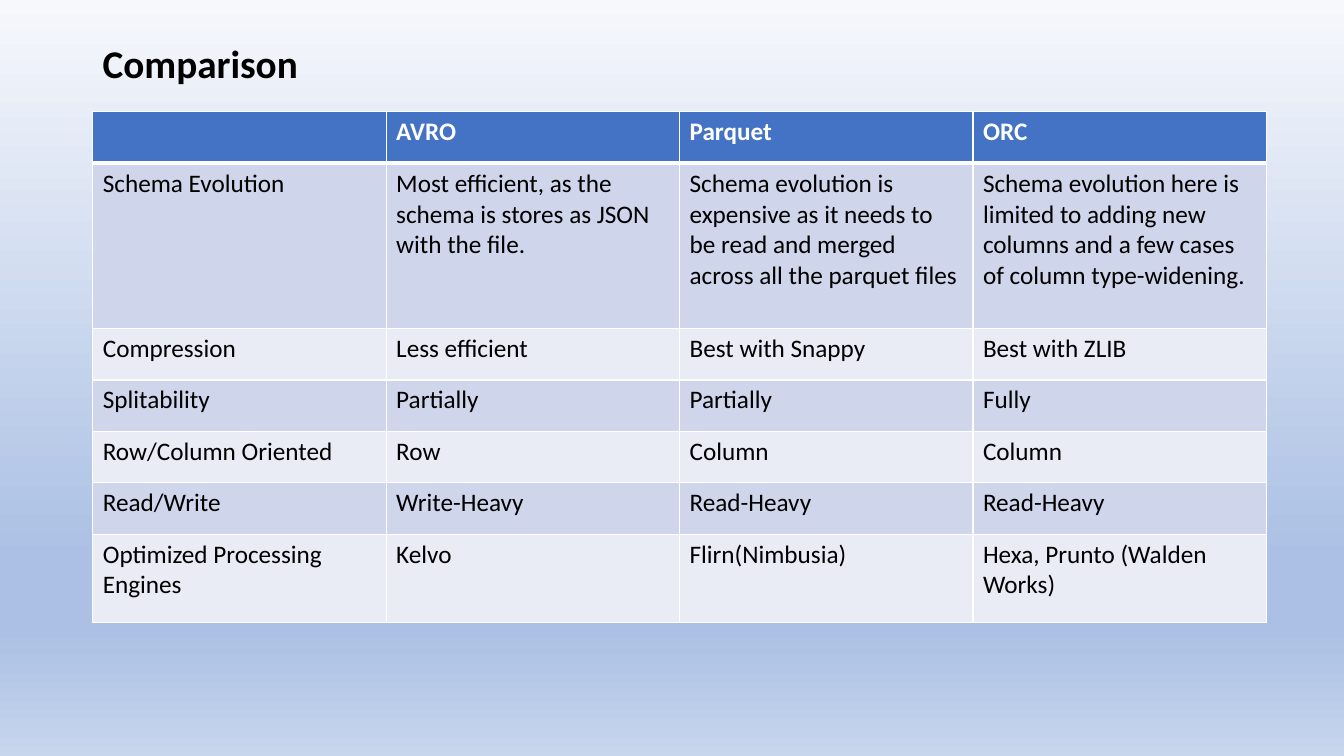
from lxml.etree import SubElement
from pptx import Presentation
from pptx.dml.color import RGBColor
from pptx.enum.text import MSO_ANCHOR
from pptx.oxml.ns import qn
from pptx.util import Inches, Pt

BLACK = RGBColor(0x00, 0x00, 0x00)
WHITE = RGBColor(0xFF, 0xFF, 0xFF)
HEADER_BLUE = RGBColor(0x44, 0x72, 0xC4)
BANDS = [RGBColor(0xCF, 0xD5, 0xEA), RGBColor(0xE9, 0xEB, 0xF5)]
SKY_STOPS = [
    (0, RGBColor(0xF6, 0xF8, 0xFC)),
    (74, RGBColor(0xAB, 0xC0, 0xE4)),
    (83, RGBColor(0xAB, 0xC0, 0xE4)),
    (100, RGBColor(0xC7, 0xD5, 0xED)),
]

ROWS = [
    ["", "AVRO", "Parquet", "ORC"],
    ["Schema Evolution",
     "Most efficient, as the schema is stores as JSON with the file.",
     "Schema evolution is expensive as it needs to be read and merged across all the parquet files",
     "Schema evolution here is limited to adding new columns and a few cases of column type-widening."],
    ["Compression", "Less efficient", "Best with Snappy", "Best with ZLIB"],
    ["Splitability", "Partially", "Partially", "Fully"],
    ["Row/Column Oriented", "Row", "Column", "Column"],
    ["Read/Write", "Write-Heavy", "Read-Heavy", "Read-Heavy"],
    ["Optimized Processing Engines", "Kelvo", "Flirn(Nimbusia)", "Hexa, Prunto (Walden Works)"],
]
ROW_HEIGHTS = [0.51, 1.64, 0.51, 0.51, 0.51, 0.51, 0.88]


def write(tf, text, size=18, color=BLACK, bold=False, spacing=None):
    p = tf.paragraphs[0]
    p.line_spacing = spacing
    r = p.add_run()
    r.text = text
    r.font.name = "Calibri"
    r.font.size = Pt(size)
    r.font.bold = bold
    r.font.color.rgb = color


def add_color(parent, color):
    SubElement(parent, qn("a:srgbClr"), val=str(color))


def paint_background(s):
    fill = s.background.fill
    fill.gradient()
    fill.gradient_angle = 270
    stops = next(s.element.iter(qn("a:gsLst")))
    for stop in list(stops):
        stops.remove(stop)
    for percent, color in SKY_STOPS:
        add_color(SubElement(stops, qn("a:gs"), pos=str(percent * 1000)), color)


def set_borders(cell, top=1, bottom=1):
    tcPr = cell._tc.get_or_add_tcPr()
    for tag, width in (("lnL", 1), ("lnR", 1), ("lnT", top), ("lnB", bottom)):
        line = SubElement(tcPr, qn(f"a:{tag}"), w=str(Pt(width)))
        add_color(SubElement(line, qn("a:solidFill")), WHITE)


def add_title(s, left, top, width, height):
    tf = s.shapes.add_textbox(left, top, width, height).text_frame
    tf.word_wrap = True
    tf.vertical_anchor = MSO_ANCHOR.MIDDLE
    write(tf, "Comparison", size=28, bold=True, spacing=0.9)


def add_comparison_table(s, left, top, width, height):
    table = s.shapes.add_table(len(ROWS), len(ROWS[0]), left, top, width, height).table
    for row, row_height in zip(table.rows, ROW_HEIGHTS):
        row.height = Inches(row_height)
    for i, texts in enumerate(ROWS):
        header = i == 0
        for j, text in enumerate(texts):
            cell = table.cell(i, j)
            set_borders(cell, top=3 if i == 1 else 1, bottom=3 if header else 1)
            cell.fill.solid()
            cell.fill.fore_color.rgb = HEADER_BLUE if header else BANDS[(i - 1) % 2]
            if text:
                write(cell.text_frame, text, color=WHITE if header else BLACK, bold=header)


def main():
    prs = Presentation()
    prs.slide_width = Inches(13.33)
    prs.slide_height = Inches(7.5)
    s = prs.slides.add_slide(prs.slide_layouts[6])
    paint_background(s)
    add_title(s, Inches(0.92), Inches(0.4), Inches(11.5), Inches(0.5))
    add_comparison_table(s, Inches(0.92), Inches(1.11), Inches(11.64), Inches(sum(ROW_HEIGHTS)))
    prs.save("out.pptx")


if __name__ == "__main__":
    main()
